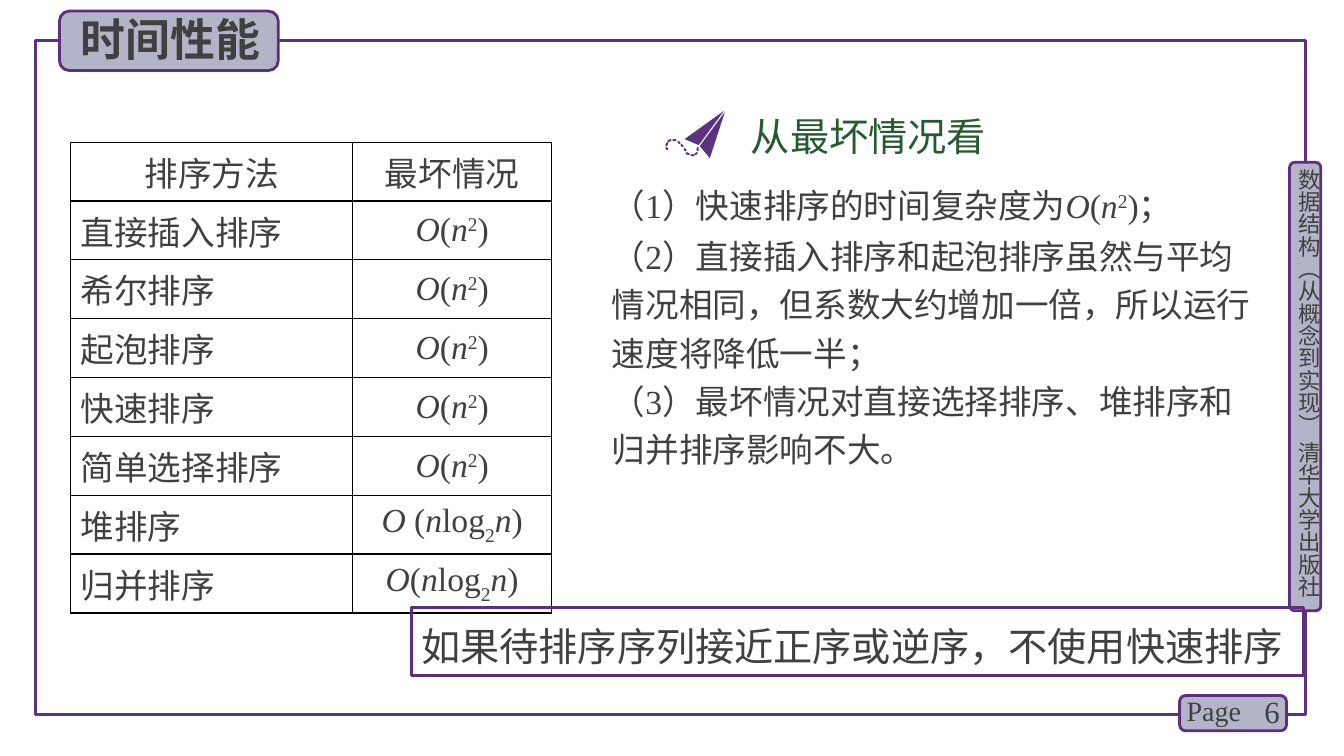
import math
from dataclasses import dataclass
from lxml import etree
from pptx import Presentation, util as u
from pptx.dml.color import RGBColor
from pptx.enum import shapes, text
from pptx.oxml.ns import qn

INK = "404040"
PURPLE = "5C307D"
PLANE_PURPLE = "5A327D"
LAVENDER = "B4B4C8"
GREEN = "285A32"
CHINESE = "Noto Sans CJK SC"
LATIN = "Times New Roman"
LEFT, CENTER, RIGHT, JUSTIFY = (
    text.PP_ALIGN.LEFT, text.PP_ALIGN.CENTER, text.PP_ALIGN.RIGHT, text.PP_ALIGN.JUSTIFY)
TOP, MIDDLE = text.MSO_ANCHOR.TOP, text.MSO_ANCHOR.MIDDLE


@dataclass(frozen=True)
class Piece:
    words: str
    italic: bool = False
    baseline: int = 0


@dataclass(frozen=True)
class Style:
    size: int
    font: str = LATIN
    color: str = INK
    bold: bool = False
    align: text.PP_ALIGN = LEFT
    spacing: float = 1.0


@dataclass(frozen=True)
class Box:
    left: float
    top: float
    width: float
    height: float

    def lengths(self) -> tuple:
        return tuple(u.Inches(v) for v in (self.left, self.top, self.width, self.height))


@dataclass(frozen=True)
class Panel:
    box: Box
    line: str = PURPLE
    weight: float = 2
    fill: str | None = LAVENDER


@dataclass(frozen=True)
class Label:
    box: Box
    pieces: tuple
    style: Style
    wrap: bool = True
    anchor: text.MSO_ANCHOR = TOP


SQUARED = (Piece("O", True), Piece("("), Piece("n", True), Piece("2", baseline=30000), Piece(")"))
LOG_TAIL = (Piece("("), Piece("n", True), Piece("log"), Piece("2", baseline=-30000),
            Piece("n", True), Piece(")"))

WORST_CASES = [
    ("直接插入排序", SQUARED),
    ("希尔排序", SQUARED),
    ("起泡排序", SQUARED),
    ("快速排序", SQUARED),
    ("简单选择排序", SQUARED),
    ("堆排序", (Piece("O ", True), *LOG_TAIL)),
    ("归并排序", (Piece("O", True), *LOG_TAIL)),
]

FRAME = Panel(Box(0.35, 0.4, 12.6, 6.69), PLANE_PURPLE, 2.25, None)
TABS = [
    Panel(Box(12.79, 1.61, 0.31, 4.45)),
    Panel(Box(11.7, 6.9, 1.06, 0.35)),
    Panel(Box(0.59, 0.11, 2.17, 0.59)),
]
CONCLUSION = Panel(Box(4.08, 6.03, 8.85, 0.67), PURPLE, 2.25, None)
TITLE_BOX = Box(0.7, 0.07, 2.1, 0.64)
SIDE_BOX = Box(12.85, 1.67, 0.27, 4.49)

POINT = Style(24, spacing=1.2)
LABELS = [
    Label(Box(12.2, 6.86, 0.59, 0.4), (Piece("6"),), Style(22, align=RIGHT), anchor=MIDDLE),
    Label(Box(11.67, 6.83, 0.78, 0.44), (Piece("Page"),), Style(20)),
    Label(Box(5.97, 1.71, 6.67, 0.54),
          (Piece("（1）快速排序的时间复杂度为"), *SQUARED[:-1], Piece(")；")), POINT),
    Label(Box(5.97, 2.21, 6.67, 1.56),
          (Piece("（2）直接插入排序和起泡排序虽然与平均情况相同，但系数大约增加一倍，所以运行速度将降低一半；"),), POINT),
    Label(Box(5.97, 3.65, 6.67, 1.03),
          (Piece("（3）最坏情况对直接选择排序、堆排序和归并排序影响不大。"),), POINT),
]
HEADING = Label(Box(7.35, 1.07, 2.56, 0.57), (Piece("从最坏情况看"),),
                Style(28, CHINESE, GREEN), wrap=False)

WINGS = [
    [(7.19, 1.11), (7.04, 1.57), (6.94, 1.45)],
    [(7.18, 1.1), (6.93, 1.44), (6.79, 1.38)],
]
TRAIL = [
    (6.92, 1.47, 6.92, 1.49), (6.91, 1.52, 6.9, 1.53), (6.86, 1.54, 6.88, 1.54),
    (6.81, 1.52, 6.83, 1.53), (6.79, 1.48, 6.8, 1.49), (6.76, 1.44, 6.77, 1.45),
    (6.73, 1.41, 6.74, 1.42), (6.68, 1.39, 6.7, 1.39), (6.65, 1.39, 6.63, 1.4),
    (6.61, 1.47, 6.62, 1.48), (6.62, 1.42, 6.61, 1.44),
]


def rgb(value: str) -> RGBColor:
    return RGBColor.from_string(value)


def write(frame, pieces: tuple, style: Style) -> None:
    paragraph = frame.paragraphs[0]
    paragraph.alignment = style.align
    paragraph.line_spacing = style.spacing
    for piece in pieces:
        run = paragraph.add_run()
        run.text = piece.words
        run.font.size = u.Pt(style.size)
        run.font.name = style.font
        run.font.bold = style.bold
        run.font.italic = piece.italic
        run.font.color.rgb = rgb(style.color)
        properties = run._r.get_or_add_rPr()
        if piece.baseline:
            properties.set("baseline", str(piece.baseline))
        etree.SubElement(properties, qn("a:ea")).set("typeface", CHINESE)


def draw_panel(container, panel: Panel, kind: shapes.MSO_SHAPE):
    shape = container.add_shape(kind, *panel.box.lengths())
    shape.shadow.inherit = False
    shape.line.color.rgb = rgb(panel.line)
    shape.line.width = u.Pt(panel.weight)
    if panel.fill:
        shape.fill.solid()
        shape.fill.fore_color.rgb = rgb(panel.fill)
    else:
        shape.fill.background()
    return shape


def draw_label(container, label: Label):
    shape = container.add_textbox(*label.box.lengths())
    shape.text_frame.word_wrap = label.wrap
    shape.text_frame.vertical_anchor = label.anchor
    write(shape.text_frame, label.pieces, label.style)
    return shape


def draw_outline(container, points: list) -> None:
    corners = [(u.Inches(x), u.Inches(y)) for x, y in points]
    builder = container.build_freeform(*corners[0], scale=1.0)
    builder.add_line_segments(corners[1:], close=True)
    shape = builder.convert_to_shape()
    shape.shadow.inherit = False
    shape.fill.solid()
    shape.fill.fore_color.rgb = rgb(PLANE_PURPLE)
    shape.line.fill.background()


def dash_outline(x1: float, y1: float, x2: float, y2: float, radius: float = 0.01) -> list:
    heading = math.atan2(y2 - y1, x2 - x1)
    return [(x + radius * math.cos(heading + math.radians(turn + step)),
             y + radius * math.sin(heading + math.radians(turn + step)))
            for x, y, turn in ((x2, y2, -90), (x1, y1, 90))
            for step in range(0, 181, 45)]


def draw_paper_plane(container) -> None:
    group = container.add_group_shape().shapes
    for points in WINGS + [dash_outline(*dash) for dash in TRAIL]:
        draw_outline(group, points)
    draw_label(group, HEADING)


def border_cell(cell) -> None:
    properties = cell._tc.get_or_add_tcPr()
    for position, side in enumerate(("lnL", "lnR", "lnT", "lnB")):
        line = etree.Element(qn(f"a:{side}"), w=str(u.Pt(1)))
        fill = etree.SubElement(line, qn("a:solidFill"))
        etree.SubElement(fill, qn("a:srgbClr")).set("val", "000000")
        properties.insert(position, line)


def draw_table(container) -> None:
    rows = [("排序方法", (Piece("最坏情况"),))] + WORST_CASES
    table = container.add_table(len(rows), 2, *Box(0.7, 1.41, 4.77, 4.43).lengths()).table
    table.first_row = False
    table.horz_banding = False
    for column, width in zip(table.columns, (2.8, 1.97)):
        column.width = u.Inches(width)
    for index, (method, cost) in enumerate(rows):
        table.rows[index].height = u.Inches(0.55)
        method_align = JUSTIFY if index else CENTER
        contents = (((Piece(method),), method_align), (cost, CENTER))
        for column, (pieces, align) in enumerate(contents):
            cell = table.cell(index, column)
            cell.fill.background()
            cell.vertical_anchor = MIDDLE
            border_cell(cell)
            write(cell.text_frame, pieces, Style(24, align=align))


def main() -> None:
    presentation = Presentation()
    presentation.slide_width = u.Inches(13.33)
    presentation.slide_height = u.Inches(7.5)
    slide = presentation.slides.add_slide(presentation.slide_layouts[5])
    container = slide.shapes
    draw_panel(container, FRAME, shapes.MSO_SHAPE.RECTANGLE)
    for tab in TABS:
        draw_panel(container, tab, shapes.MSO_SHAPE.ROUNDED_RECTANGLE)

    title = container.title
    title.left, title.top, title.width, title.height = TITLE_BOX.lengths()
    title.text_frame.auto_size = text.MSO_AUTO_SIZE.NONE
    title.text_frame.vertical_anchor = TOP
    write(title.text_frame, (Piece("时间性能"),), Style(32, CHINESE, bold=True))
    title.element.getparent().append(title.element)

    side = draw_label(container, Label(
        SIDE_BOX, (Piece("数据结构（从概念到实现） 清华大学出版社"),), Style(16, CHINESE)))
    frame = side.text_frame
    frame.margin_left = frame.margin_right = frame.margin_top = frame.margin_bottom = 0
    side.element.find(".//" + qn("a:bodyPr")).set("vert", "eaVert")

    draw_table(container)
    for label in LABELS:
        draw_label(container, label)
    draw_paper_plane(container)

    conclusion = draw_panel(container, CONCLUSION, shapes.MSO_SHAPE.RECTANGLE)
    conclusion.text_frame.word_wrap = True
    conclusion.text_frame.vertical_anchor = TOP
    write(conclusion.text_frame, (Piece("如果待排序序列接近正序或逆序，不使用快速排序"),),
          Style(28, spacing=1.2))
    presentation.save("out.pptx")


if __name__ == "__main__":
    main()
